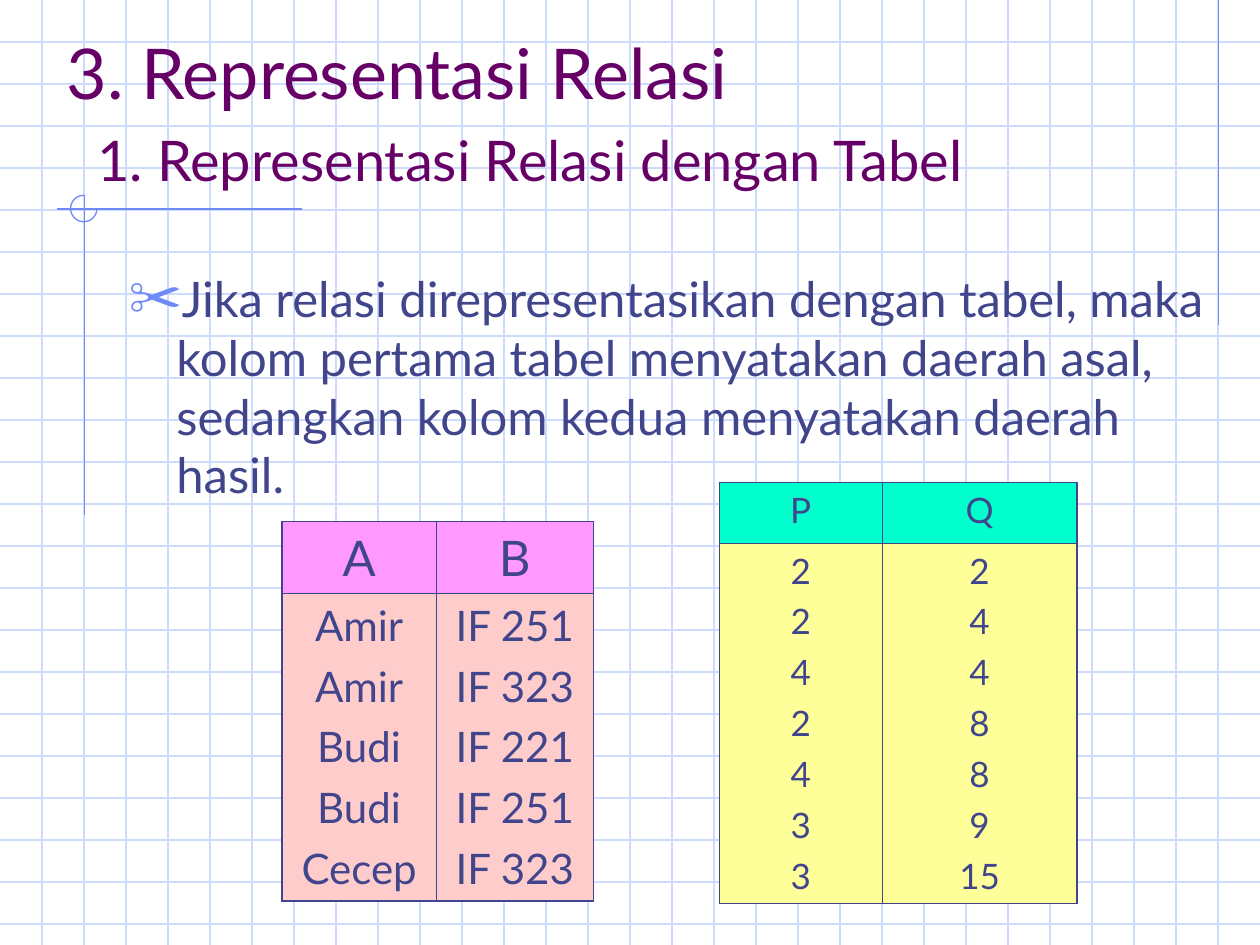
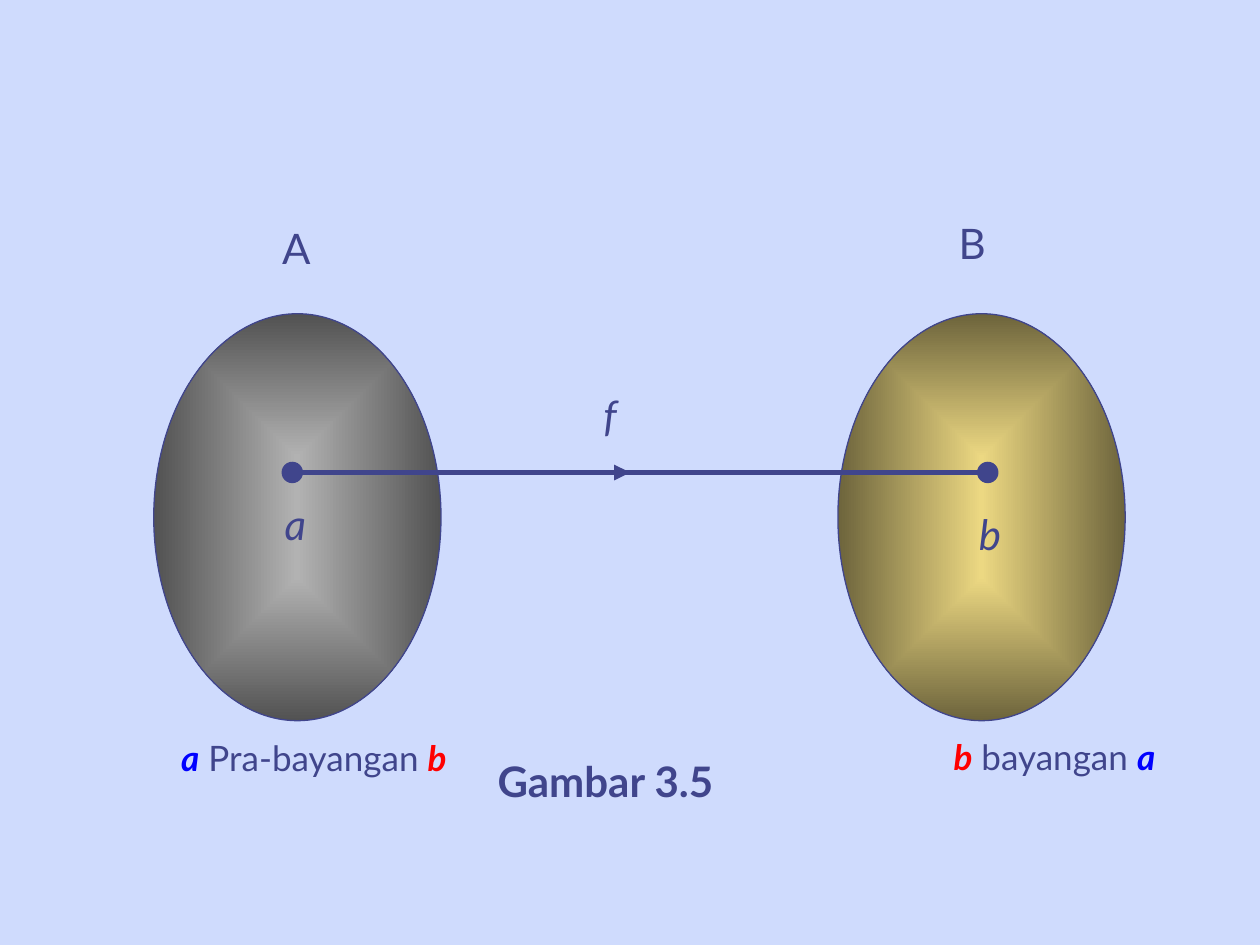
from dataclasses import dataclass

from lxml.etree import SubElement
from pptx import Presentation
from pptx.dml.color import RGBColor
from pptx.enum.shapes import MSO_CONNECTOR, MSO_SHAPE
from pptx.enum.text import MSO_ANCHOR, MSO_AUTO_SIZE, PP_ALIGN
from pptx.oxml.ns import qn
from pptx.util import Inches, Pt

FONT = "Lato"
INK = "40458C"
HEADING = "660066"
ACCENT = "6F89F7"
PALE = "CFDBFD"
WHITE = "FFFFFF"
RED = "FF0000"
BLUE = "0000FF"
WIDTH, HEIGHT = 10, 7.5
GRID_STEP = 1 / 3
OUTER_BORDER, INNER_BORDER = 1.08, 0.45
HAIRLINE = 0.75
MAPPING_Y = 3.75


@dataclass
class Piece:
    text: str
    size: float = 24
    color: str = INK
    bold: bool = False
    italic: bool = False


@dataclass
class Label:
    left: float
    top: float
    width: float
    height: float
    pieces: list[Piece]


@dataclass
class RelationTable:
    left: float
    top: float
    column_widths: list[float]
    row_heights: list[float]
    names: list[str]
    pairs: list[tuple[str, str]]
    name_size: float
    value_size: float
    gap: float
    name_fill: str
    value_fill: str


@dataclass
class DomainSet:
    left: float
    center_color: str
    edge_color: str
    point_x: float


RELATION_TABLES = [
    RelationTable(
        2.24, 4.14, [1.22, 1.25], [0.57, 2.44], ["A", "B"],
        [("Amir", "IF 251"), ("Amir", "IF 323"), ("Budi", "IF 221"),
         ("Budi", "IF 251"), ("Cecep", "IF 323")],
        28, 24, 6, "FF99FF", "FFCCCC"),
    RelationTable(
        5.71, 3.83, [1.29, 1.55], [0.48, 2.85], ["P", "Q"],
        [("2", "2"), ("2", "4"), ("4", "4"), ("2", "8"),
         ("4", "8"), ("3", "9"), ("3", "15")],
        20, 20, 5, "00FFCC", "FFFF99"),
]

DOMAIN_SETS = [
    DomainSet(1.22, "B2B2B2", "525252", 2.32),
    DomainSet(6.65, "ECD882", "6D643C", 7.84),
]

MAPPING_LABELS = [
    Label(2.14, 1.72, 0.41, 0.5, [Piece("A")]),
    Label(7.51, 1.68, 0.41, 0.5, [Piece("B")]),
    Label(2.16, 3.91, 0.39, 0.5, [Piece("a", italic=True)]),
    Label(7.67, 3.99, 0.39, 0.5, [Piece("b", italic=True)]),
    Label(4.69, 3.04, 0.3, 0.5, [Piece("f", italic=True)]),
    Label(3.85, 5.95, 2.18, 0.5, [Piece("Gambar 3.5", bold=True)]),
    Label(7.47, 5.79, 1.97, 0.44, [
        Piece("b", 20, RED, True, True),
        Piece(" bayangan ", 20),
        Piece("a", 20, BLUE, True, True)]),
    Label(1.34, 5.8, 2.57, 0.44, [
        Piece("a", 20, BLUE, True, True),
        Piece(" Pra-bayangan ", 20),
        Piece("b", 20, RED, True, True)]),
]


def rgb(color: str) -> RGBColor:
    return RGBColor.from_string(color)


def set_background(slide, color: str) -> None:
    slide.background.fill.solid()
    slide.background.fill.fore_color.rgb = rgb(color)


def place(shape, left: float, top: float, width: float, height: float) -> None:
    shape.left, shape.top = Inches(left), Inches(top)
    shape.width, shape.height = Inches(width), Inches(height)


def add_pieces(paragraph, pieces: list[Piece]) -> None:
    for piece in pieces:
        run = paragraph.add_run()
        run.text = piece.text
        run.font.name = FONT
        run.font.size = Pt(piece.size)
        run.font.bold = piece.bold
        run.font.italic = piece.italic
        run.font.color.rgb = rgb(piece.color)


def add_label(slide, label: Label):
    box = slide.shapes.add_textbox(
        Inches(label.left), Inches(label.top), Inches(label.width), Inches(label.height))
    frame = box.text_frame
    frame.word_wrap = False
    frame.auto_size = MSO_AUTO_SIZE.SHAPE_TO_FIT_TEXT
    add_pieces(frame.paragraphs[0], label.pieces)
    return box


def add_line(shapes, start: tuple[float, float], end: tuple[float, float],
             color: str, width: float = HAIRLINE, arrow: bool = False) -> None:
    connector = shapes.add_connector(
        MSO_CONNECTOR.STRAIGHT, *map(Inches, start), *map(Inches, end))
    connector.line.color.rgb = rgb(color)
    connector.line.width = Pt(width)
    properties = connector.element.spPr
    if arrow:
        SubElement(properties.find(qn("a:ln")), qn("a:tailEnd"), type="triangle")
    SubElement(properties, qn("a:effectLst"))


def add_outlined(shapes, preset, left: float, top: float, width: float,
                 height: float, color: str):
    shape = shapes.add_shape(
        preset, Inches(left), Inches(top), Inches(width), Inches(height))
    shape.shadow.inherit = False
    shape.line.color.rgb = rgb(color)
    shape.line.width = Pt(HAIRLINE)
    return shape


def add_graph_paper(slide) -> None:
    group = slide.shapes.add_group_shape()
    shapes = group.shapes
    for row in range(1, 23):
        add_line(shapes, (0, row * GRID_STEP), (WIDTH, row * GRID_STEP), PALE)
    for column in range(1, 30):
        add_line(shapes, (column * GRID_STEP, 0), (column * GRID_STEP, HEIGHT), PALE)
    add_line(shapes, (9.67, 0), (9.67, 2.58), ACCENT)
    add_line(shapes, (2.4, 1.66), (0.45, 1.66), ACCENT)
    add_line(shapes, (0.67, 1.55), (0.67, 4.09), ACCENT)
    arc = add_outlined(shapes, MSO_SHAPE.ARC, 0.56, 1.55, 0.21, 0.21, ACCENT)
    arc.fill.background()
    arc.adjustments[0] = 0
    arc.adjustments[1] = 162
    group.element.getparent().insert(2, group.element)


def fill_title(slide, text: str) -> None:
    title = slide.shapes.title
    place(title, 0.67, 0.33, 8.5, 1.25)
    frame = title.text_frame
    frame.auto_size = MSO_AUTO_SIZE.NONE
    frame.vertical_anchor = MSO_ANCHOR.BOTTOM
    paragraph = frame.paragraphs[0]
    paragraph.alignment = PP_ALIGN.LEFT
    add_pieces(paragraph, [Piece(text, 32, HEADING)])


def fill_body(slide, text: str) -> None:
    body = slide.placeholders[1]
    place(body, 0.92, 2.08, 8.73, 2.14)
    frame = body.text_frame
    frame.auto_size = MSO_AUTO_SIZE.NONE
    paragraph = frame.paragraphs[0]
    properties = paragraph._p.get_or_add_pPr()
    properties.set("marL", str(Inches(0.38)))
    properties.set("indent", str(-Inches(0.38)))
    bullet_color = SubElement(properties, qn("a:buClr"))
    SubElement(bullet_color, qn("a:srgbClr"), val=ACCENT)
    SubElement(properties, qn("a:buSzPct"), val="110000")
    SubElement(properties, qn("a:buChar"), char="✂")
    paragraph.space_before = Pt(0)
    add_pieces(paragraph, [Piece(text, 28)])


def set_borders(cell, row: int, column: int) -> None:
    outer_sides = {"L": column == 0, "R": column == 1, "T": row == 0, "B": row == 1}
    properties = cell._tc.get_or_add_tcPr()
    for position, (side, is_outer) in enumerate(outer_sides.items()):
        width = Pt(OUTER_BORDER if is_outer else INNER_BORDER)
        border = SubElement(properties, qn(f"a:ln{side}"), w=str(width))
        fill = SubElement(border, qn("a:solidFill"))
        SubElement(fill, qn("a:srgbClr"), val=INK)
        properties.insert(position, border)


def add_relation_table(slide, relation: RelationTable) -> None:
    table = slide.shapes.add_table(
        2, 2, Inches(relation.left), Inches(relation.top),
        Inches(sum(relation.column_widths)), Inches(sum(relation.row_heights))).table
    table.first_row = False
    table.horz_banding = False
    for column, width in zip(table.columns, relation.column_widths):
        column.width = Inches(width)
    for row, height in zip(table.rows, relation.row_heights):
        row.height = Inches(height)
    name_cells = [[name] for name in relation.names]
    value_cells = list(zip(*relation.pairs))
    rows = [(name_cells, relation.name_size, relation.name_fill),
            (value_cells, relation.value_size, relation.value_fill)]
    for row, (contents, size, fill) in enumerate(rows):
        for column, lines in enumerate(contents):
            cell = table.cell(row, column)
            cell.fill.solid()
            cell.fill.fore_color.rgb = rgb(fill)
            set_borders(cell, row, column)
            frame = cell.text_frame
            for index, line in enumerate(lines):
                paragraph = frame.add_paragraph() if index else frame.paragraphs[0]
                paragraph.alignment = PP_ALIGN.CENTER
                if index:
                    paragraph.space_before = Pt(relation.gap)
                add_pieces(paragraph, [Piece(line, size)])


def add_domain_set(slide, domain: DomainSet) -> None:
    oval = add_outlined(slide.shapes, MSO_SHAPE.OVAL, domain.left, 2.49, 2.28, 3.23, INK)
    oval.fill.gradient()
    colors = (domain.center_color, domain.edge_color)
    for position, (stop, color) in enumerate(zip(oval.fill.gradient_stops, colors)):
        stop.color.rgb = rgb(color)
        stop.position = position
    gradient = oval.element.spPr.find(qn("a:gradFill"))
    gradient.remove(gradient.find(qn("a:lin")))
    shade = SubElement(gradient, qn("a:path"), path="rect")
    SubElement(shade, qn("a:fillToRect"), l="50000", t="50000", r="50000", b="50000")


def add_point(slide, center_x: float) -> None:
    size = 0.16
    point = add_outlined(slide.shapes, MSO_SHAPE.OVAL, center_x - size / 2,
                         MAPPING_Y - size / 2, size, size, INK)
    point.fill.solid()
    point.fill.fore_color.rgb = rgb(INK)


def build_table_slide(presentation) -> None:
    slide = presentation.slides.add_slide(presentation.slide_layouts[1])
    set_background(slide, WHITE)
    add_graph_paper(slide)
    fill_title(slide, "1. Representasi Relasi dengan Tabel")
    fill_body(slide, "Jika relasi direpresentasikan dengan tabel, maka kolom pertama "
                     "tabel menyatakan daerah asal, sedangkan kolom kedua menyatakan "
                     "daerah hasil.")
    chapter = add_label(slide, Label(
        0.43, 0.28, 5.67, 0.67, [Piece("3. Representasi Relasi", 40, HEADING)]))
    chapter.text_frame.word_wrap = True
    chapter.text_frame.auto_size = MSO_AUTO_SIZE.NONE
    chapter.text_frame.vertical_anchor = MSO_ANCHOR.BOTTOM
    for relation in RELATION_TABLES:
        add_relation_table(slide, relation)


def build_mapping_slide(presentation) -> None:
    slide = presentation.slides.add_slide(presentation.slide_layouts[6])
    set_background(slide, PALE)
    for domain in DOMAIN_SETS:
        add_domain_set(slide, domain)
    for domain in DOMAIN_SETS:
        add_point(slide, domain.point_x)
    start, end = [(domain.point_x, MAPPING_Y) for domain in DOMAIN_SETS]
    add_line(slide.shapes, start, end, INK, 3)
    add_line(slide.shapes, start, (5, MAPPING_Y), INK, 3, arrow=True)
    for label in MAPPING_LABELS:
        add_label(slide, label)


def main() -> None:
    presentation = Presentation()
    presentation.slide_width = Inches(WIDTH)
    presentation.slide_height = Inches(HEIGHT)
    build_table_slide(presentation)
    build_mapping_slide(presentation)
    presentation.save("out.pptx")


if __name__ == "__main__":
    main()
